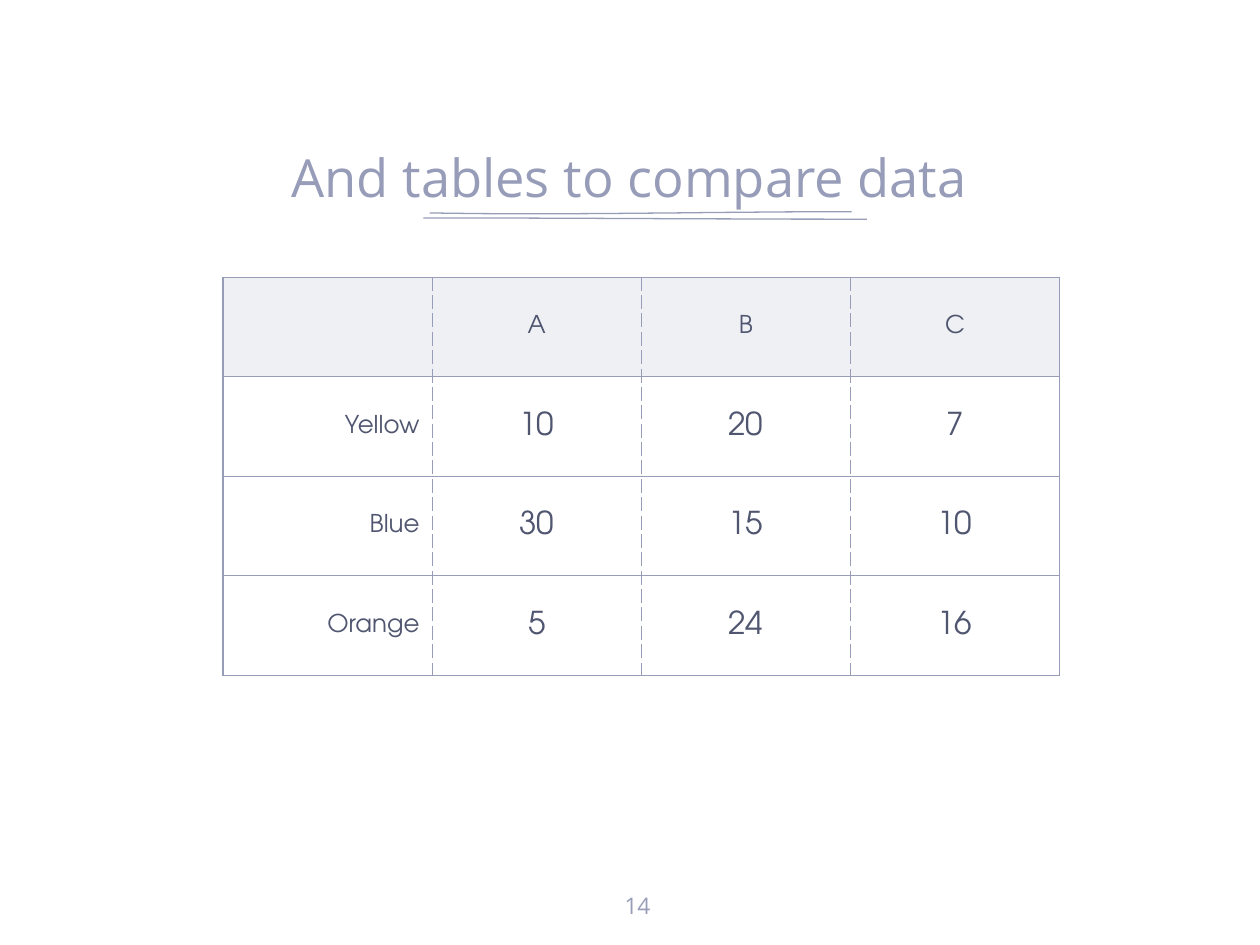
import dataclasses
import typing

import lxml.etree
import pptx
import pptx.dml.color
import pptx.enum.shapes
import pptx.enum.text
import pptx.oxml.ns
import pptx.util

Align = pptx.enum.text.PP_ALIGN
Anchor = pptx.enum.text.MSO_ANCHOR
Point = tuple[float, float]


@dataclasses.dataclass(frozen=True)
class Theme:
    soft: str = "979CB8"
    dark: str = "505670"
    tint: int = 15
    line: float = 0.75
    inset: float = 0.1
    head: str = "Open Sans"
    body: str = "TeX Gyre Adventor"
    title: float = 30
    value: float = 18
    label: float = 14
    page: float = 13


@dataclasses.dataclass(frozen=True)
class Label:
    text: str
    left: float
    top: float
    width: float
    height: float
    size: float
    anchor: typing.Any


@dataclasses.dataclass(frozen=True)
class Grid:
    left: float
    top: float
    col: float
    row: float
    data: tuple[tuple[str, ...], ...]


THEME = Theme()
inch = pptx.util.Inches

LABELS = (
    Label("And tables to compare data", 1.12, 0.75, 7.75, 1, THEME.title, Anchor.BOTTOM),
    Label("14", 4.76, 6.98, 0.6, 0.44, THEME.page, Anchor.TOP),
)
STROKES = (
    ((3.41, 1.69), (4.53, 1.71), (5.64, 1.68), (6.76, 1.68)),
    ((3.36, 1.73), (4.53, 1.73), (5.71, 1.74), (6.88, 1.74)),
)
GRID = Grid(1.77, 2.2, 1.66, 0.79, (
    ("", "A", "B", "C"),
    ("Yellow", "10", "20", "7"),
    ("Blue", "30", "15", "10"),
    ("Orange", "5", "24", "16"),
))


def color(code: str) -> pptx.dml.color.RGBColor:
    return pptx.dml.color.RGBColor.from_string(code)


def style(par, font: str, size: float, code: str, align) -> None:
    par.alignment = align
    par.font.name = font
    par.font.size = pptx.util.Pt(size)
    par.font.color.rgb = color(code)


def pad(item) -> None:
    item.margin_left = item.margin_right = inch(THEME.inset)
    item.margin_top = item.margin_bottom = inch(THEME.inset)


def add_label(slide, label: Label) -> None:
    box = slide.shapes.add_textbox(
        inch(label.left), inch(label.top), inch(label.width), inch(label.height))
    frame = box.text_frame
    frame.word_wrap = True
    frame.vertical_anchor = label.anchor
    pad(frame)
    frame.text = label.text
    style(frame.paragraphs[0], THEME.head, label.size, THEME.soft, Align.CENTER)


def curve(ends: tuple[Point, ...], part: float) -> Point:
    rest = 1 - part
    shares = (rest ** 3, 3 * rest ** 2 * part, 3 * rest * part ** 2, part ** 3)
    x, y = (sum(s * p[axis] for s, p in zip(shares, ends)) for axis in (0, 1))
    return inch(x), inch(y)


def add_stroke(slide, ends: tuple[Point, ...], steps: int = 24) -> None:
    first, *rest = [curve(ends, step / steps) for step in range(steps + 1)]
    pen = slide.shapes.build_freeform(*first)
    pen.add_line_segments(rest, close=False)
    shape = pen.convert_to_shape()
    shape.shadow.inherit = False
    shape.fill.background()
    shape.line.color.rgb = color(THEME.soft)
    shape.line.width = pptx.util.Pt(THEME.line)


def add_node(parent, tag: str, **attrs: str):
    return lxml.etree.SubElement(parent, pptx.oxml.ns.qn(tag), attrs)


def add_edge(cell, side: str, dash: str) -> None:
    edge = add_node(cell._tc.get_or_add_tcPr(), f"a:ln{side}",
                    w=str(pptx.util.Pt(THEME.line)))
    add_node(add_node(edge, "a:solidFill"), "a:srgbClr", val=THEME.soft)
    add_node(edge, "a:prstDash", val=dash)


def fill_head(cell) -> None:
    fill = add_node(cell._tc.get_or_add_tcPr(), "a:solidFill")
    tone = add_node(fill, "a:srgbClr", val=THEME.soft)
    add_node(tone, "a:alpha", val=str(THEME.tint * 1000))


def add_grid(slide, grid: Grid) -> None:
    rows, cols = len(grid.data), len(grid.data[0])
    table = slide.shapes.add_table(
        rows, cols, inch(grid.left), inch(grid.top),
        inch(cols * grid.col), inch(rows * grid.row)).table
    table.first_row = table.horz_banding = False
    for col in table.columns:
        col.width = inch(grid.col)
    for r, texts in enumerate(grid.data):
        table.rows[r].height = inch(grid.row)
        for c, text in enumerate(texts):
            cell = table.cell(r, c)
            cell.text = text
            cell.vertical_anchor = Anchor.MIDDLE
            pad(cell)
            size = THEME.value if r and c else THEME.label
            align = Align.CENTER if c else Align.RIGHT
            style(cell.text_frame.paragraphs[0], THEME.body, size, THEME.dark, align)
            add_edge(cell, "L", "dash" if c else "solid")
            add_edge(cell, "R", "dash" if c < cols - 1 else "solid")
            add_edge(cell, "T", "solid")
            add_edge(cell, "B", "solid")
            if r:
                cell.fill.background()
            else:
                fill_head(cell)


def main() -> None:
    deck = pptx.Presentation()
    deck.slide_width, deck.slide_height = inch(10), inch(7.5)
    slide = deck.slides.add_slide(deck.slide_layouts[6])
    for ends in STROKES:
        add_stroke(slide, ends)
    title, page = LABELS
    add_label(slide, title)
    add_grid(slide, GRID)
    add_label(slide, page)
    deck.save("out.pptx")


main()
